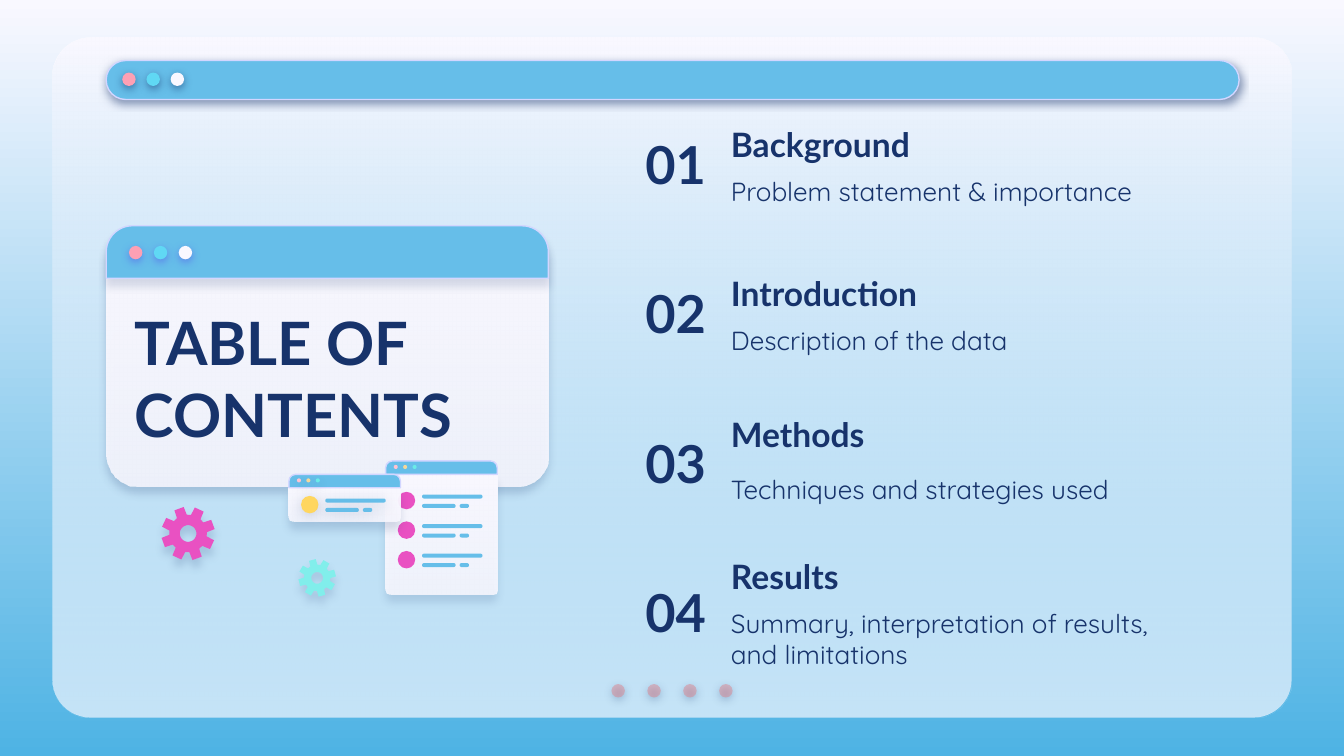
import math
from dataclasses import dataclass

import pptx
import pptx.dml.color
import pptx.enum.shapes
import pptx.enum.text
import pptx.oxml
import pptx.oxml.ns
import pptx.util

KIND = pptx.enum.shapes.MSO_SHAPE
ALIGN = pptx.enum.text.PP_ALIGN
ANCHOR = pptx.enum.text.MSO_ANCHOR
FIT = pptx.enum.text.MSO_AUTO_SIZE


@dataclass(frozen=True)
class Theme:
    navy: str = "17336B"
    blue: str = "66BEE9"
    pale: str = "F9F8FF"
    sky: str = "4EB3E4"
    edge: str = "D2D6FF"
    rose: str = "E27B83"
    pink: str = "E951C2"
    gold: str = "FFD65F"
    mint: str = "81EEEB"
    glow: str = "5352EE"
    lights: tuple = ("FDA0B4", "60D8F4", "F9F8FF")
    minis: tuple = ("FFC3D0", "F5D79B", "6AEBE7")
    head: str = "Lato"
    body: str = "Quicksand"
    title: int = 32
    number: int = 28
    topic: int = 18
    note: int = 14


T = Theme()
SOFT = (T.navy, 50, 4.5, 1.5)  # shadow: colour, opacity %, blur pt, distance pt


def size(inch):
    return pptx.util.Cm(inch * 2.54)


def rgb(code):
    return pptx.dml.color.RGBColor.from_string(code)


def put(item, values):
    for name, value in values.items():
        setattr(item, name, value)


def node(parent, tag, **values):
    child = pptx.oxml.parse_xml(
        f'<a:{tag} {pptx.oxml.ns.nsdecls("a")}/>')
    for name, value in values.items():
        child.set(name, str(value))
    parent.append(child)
    return child


def fade(parent, alpha):
    for color in parent.iter(pptx.oxml.ns.qn("a:srgbClr")):
        node(color, "alpha", val=alpha * 1000)


def blend(fill, top, base, alpha=100):
    """Vertical gradient whose lower stop may be see-through."""
    fill.gradient()
    fill.gradient_angle = 270
    for stop, code in zip(fill.gradient_stops, (top, base)):
        stop.color.rgb = rgb(code)
    if alpha < 100:
        fade(fill.gradient_stops[1]._gs, alpha)


def style(shape, fill, line=None, shade=None, alpha=100):
    """Fill is a colour, or a (top, base, opacity) gradient."""
    if isinstance(fill, tuple):
        blend(shape.fill, *fill)
    else:
        shape.fill.solid()
        shape.fill.fore_color.rgb = rgb(fill)
        if alpha < 100:
            fade(shape._element.spPr, alpha)
    if line:
        shape.line.color.rgb = rgb(line)
        shape.line.width = pptx.util.Pt(0.75)
    else:
        shape.line.fill.background()
    shape.shadow.inherit = False
    if shade:
        code, dark, blur, drop = shade
        effects = shape._element.spPr.find(pptx.oxml.ns.qn("a:effectLst"))
        cast = node(effects, "outerShdw", blurRad=pptx.util.Pt(blur),
                    dist=pptx.util.Pt(drop), dir=5400000, algn="bl",
                    rotWithShape=0)
        node(node(cast, "srgbClr", val=code), "alpha", val=dark * 1000)


def block(slide, kind, box, fill, adj=(), **look):
    shape = slide.shapes.add_shape(kind, *map(size, box))
    for spot, value in enumerate(adj):
        shape.adjustments[spot] = value
    style(shape, fill, **look)


def dots(slide, x, y, step, wide, fills, **look):
    for spot, fill in enumerate(fills):
        block(slide, KIND.OVAL, (x + spot * step, y, wide, wide), fill, **look)


def write(shape, text, box, points, font, bold=True, align=ALIGN.LEFT, after=0):
    put(shape, dict(zip(("left", "top", "width", "height"), map(size, box))))
    frame = shape.text_frame
    gap = size(0.1)
    put(frame, {"text": text, "word_wrap": True, "auto_size": FIT.NONE,
                "vertical_anchor": ANCHOR.MIDDLE,
                "margin_left": gap, "margin_right": gap,
                "margin_top": gap, "margin_bottom": gap})
    para = frame.paragraphs[0]
    put(para, {"alignment": align, "space_before": pptx.util.Pt(0),
               "space_after": pptx.util.Pt(after)})
    face = para.runs[0].font
    put(face, {"name": font, "size": pptx.util.Pt(points), "bold": bold})
    face.color.rgb = rgb(T.navy)


def label(slide, text, box, *args, **look):
    write(slide.shapes.add_textbox(0, 0, 0, 0), text, box, *args, **look)


def topic(slide, spot, top, name, note):
    drop = spot * 1.11
    label(slide, f"{spot + 1:02}", (4.27, 0.75 + drop, 1.08, 0.94),
          T.number, T.head, align=ALIGN.RIGHT)
    label(slide, name, (5.34, top, 3.7, 0.4), T.topic, T.head)
    label(slide, note, (5.34, 1.15 + drop, 3.7, 0.54),
          T.note, T.body, bold=False, after=12)


def window(slide, x, y, high, marks, fill, shade, tiny=None, item=None):
    """Small window: body, title bar and rows of a mark with three strokes."""
    wide, bar, curve = 0.83, 0.1, 0.05
    block(slide, KIND.ROUND_2_SAME_RECTANGLE, (x, y + bar, wide, high),
          (T.pale, T.pale, 87), (0, curve / min(wide, high)), shade=shade)
    block(slide, KIND.ROUND_2_SAME_RECTANGLE, (x, y, wide, bar),
          T.blue, (0.5, 0), line=T.edge)
    dots(slide, x + 0.06, y + 0.03, 0.07, 0.03, T.minis, shade=tiny)
    for mark in marks:
        top = y + mark
        dots(slide, x + 0.09, top, 0, 0.13, [fill], shade=item)
        for left, down, length in ((0.27, 0.02, 0.45), (0.27, 0.09, 0.25),
                                   (0.55, 0.09, 0.07)):
            block(slide, KIND.ROUNDED_RECTANGLE,
                  (x + left, top + down, length, 0.03), T.blue, (0.5,),
                  shade=item)


def gear(slide, x, y, reach, turn, fill, shade):
    def spot(far, angle):
        way = math.radians(angle)
        return size(x + far * math.cos(way)), size(y + far * math.sin(way))

    rim = [spot(reach * far, turn + 45 * tooth + shift)
           for tooth in range(8)
           for far, shift in ((0.7, -16), (1, -10.5), (1, 10.5), (0.7, 16))]
    hole = [spot(reach * 0.31, -angle) for angle in range(0, 360, 10)]
    path = slide.shapes.build_freeform(*rim[0])
    path.add_line_segments(rim[1:])
    path.move_to(*hole[0])
    path.add_line_segments(hole[1:])
    style(path.convert_to_shape(), fill, shade=shade)


def main():
    deck = pptx.Presentation()
    put(deck, {"slide_width": size(10), "slide_height": size(5.625)})
    slide = deck.slides.add_slide(deck.slide_layouts[5])
    blend(slide.background.fill, T.pale, T.sky)

    # Panel with its bar and page dots
    for fill in (T.pale, (T.pale, T.blue, 35)):
        block(slide, KIND.ROUNDED_RECTANGLE, (0.39, 0.28, 9.22, 5.06),
              fill, (0.056,))
    dots(slide, 4.55, 5.09, 0.267, 0.1, [T.rose] * 4, alpha=44, shade=SOFT)
    block(slide, KIND.ROUNDED_RECTANGLE, (0.79, 0.45, 8.43, 0.29),
          T.blue, (0.5,), line=T.edge, shade=SOFT)
    dots(slide, 0.91, 0.54, 0.18, 0.1, T.lights, shade=SOFT)

    # Title card
    block(slide, KIND.ROUNDED_RECTANGLE, (0.79, 1.68, 3.29, 1.94),
          (T.pale, T.pale, 87), (0.124,), shade=(T.navy, 22, 4.5, 3.8))
    block(slide, KIND.ROUND_2_SAME_RECTANGLE, (0.79, 1.68, 3.29, 0.39),
          T.blue, (0.5, 0), line=T.edge, shade=(T.navy, 15, 4.5, 3.8))
    dots(slide, 0.96, 1.83, 0.185, 0.1, T.lights, shade=(T.glow, 50, 4.5, 1.5))
    title = slide.shapes.title
    slide.shapes._spTree.append(title._element)  # bring above the card
    write(title, "TABLE OF CONTENTS", (0.9, 2.23, 3.1, 1.16), T.title, T.head)

    # Topics
    topics = ((0.87, "Background", "Problem statement & importance"),
              (1.98, "Introduction", "Description of the data"),
              (3.03, "Methods", "Techniques and strategies used"),
              (4.09, "Results",
               "Summary, interpretation of results, and limitations"))
    for spot, row in enumerate(topics):
        topic(slide, spot, *row)

    # Small windows and gears
    window(slide, 2.87, 3.43, 0.89, (0.23, 0.45, 0.67), T.pink,
           (T.navy, 15, 4.5, 4.5))
    window(slide, 2.15, 3.53, 0.25, (0.16,), T.gold, (T.navy, 16, 4.5, 4.5),
           tiny=(T.navy, 17, 4.5, 2.2), item=(T.navy, 18, 6.8, 1.5))
    gear(slide, 1.4, 3.97, 0.2, 250, T.pink, (T.navy, 16, 4.5, 4.5))
    gear(slide, 2.36, 4.3, 0.14, 255, T.mint, (T.navy, 15, 4.5, 3.8))

    deck.save("out.pptx")


if __name__ == "__main__":
    main()
